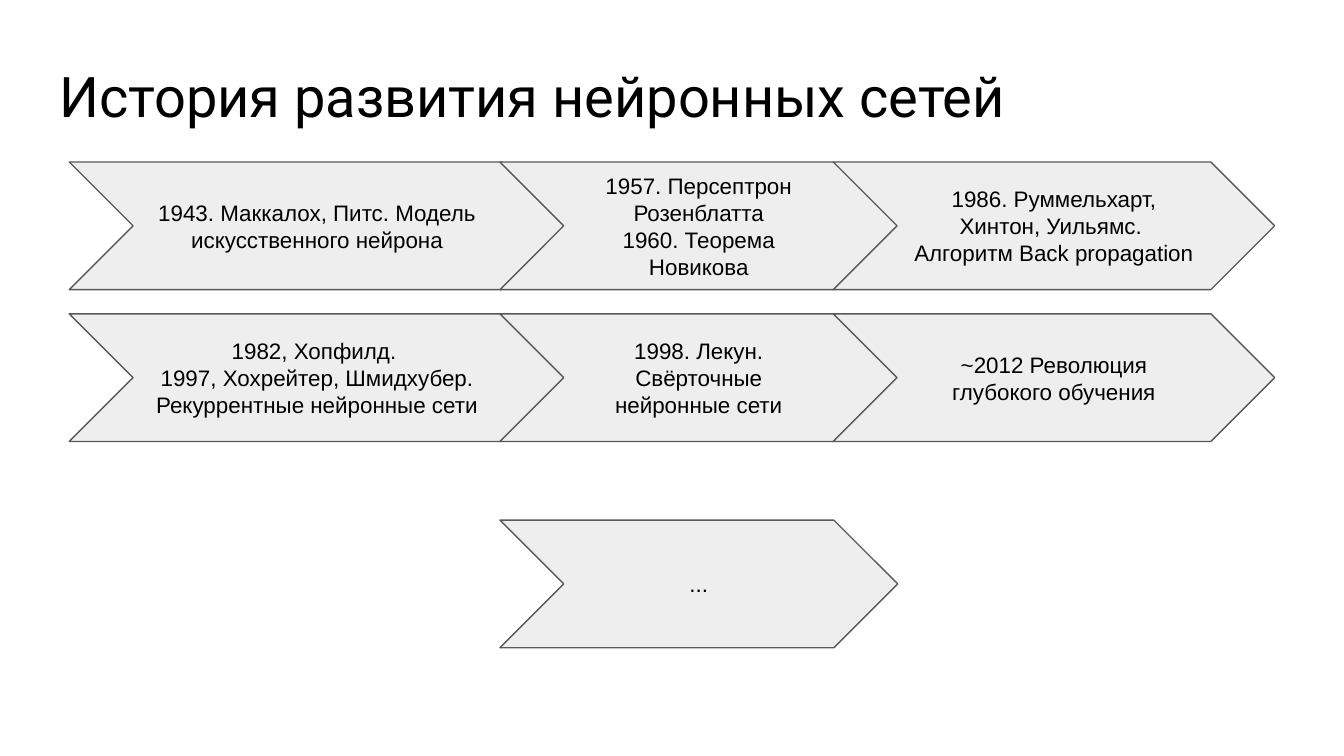
import pptx
import pptx.dml.color
import pptx.enum.shapes
import pptx.enum.text
import pptx.util

PX = 4572
TOP = pptx.enum.text.MSO_ANCHOR.TOP
MIDDLE = pptx.enum.text.MSO_ANCHOR.MIDDLE
LEFT = pptx.enum.text.PP_ALIGN.LEFT
CENTER = pptx.enum.text.PP_ALIGN.CENTER


def px(n):
    return pptx.util.Emu(n * PX)


def color(value):
    return pptx.dml.color.RGBColor.from_string(value)


def write(tf, text, size=12, font="Arial", fill="000000", align=CENTER, anchor=MIDDLE):
    tf.word_wrap = True
    tf.auto_size = pptx.enum.text.MSO_AUTO_SIZE.NONE
    tf.vertical_anchor = anchor
    tf.margin_left = tf.margin_right = tf.margin_top = tf.margin_bottom = px(20)
    for i, line in enumerate(text.split("\n")):
        p = tf.paragraphs[0] if i == 0 else tf.add_paragraph()
        p.alignment = align
        p.line_spacing = 1.0
        p.space_before = pptx.util.Pt(0)
        r = p.add_run()
        r.text = line
        r.font.size = pptx.util.Pt(size)
        r.font.name = font
        r.font.color.rgb = color(fill)


class Deck:
    """Hold the style and the current slide, and add elements to it."""

    fill = "EEEEEE"
    line = "595959"

    def __init__(self, prs):
        self.s = prs.slides.add_slide(prs.slide_layouts[5])

    def title(self, text, x, y, w, h):
        sp = self.s.shapes.title
        sp.left, sp.top, sp.width, sp.height = map(px, (x, y, w, h))
        write(sp.text_frame, text, size=30, font="Roboto", align=LEFT, anchor=TOP)

    def chevron(self, text, x, y, w, h=190):
        kind = pptx.enum.shapes.MSO_SHAPE.CHEVRON
        sp = self.s.shapes.add_shape(kind, *map(px, (x, y, w, h)))
        sp.adjustments[0] = 0.5
        sp.shadow.inherit = False
        sp.fill.solid()
        sp.fill.fore_color.rgb = color(self.fill)
        sp.line.color.rgb = color(self.line)
        sp.line.width = pptx.util.Pt(0.75)
        write(sp.text_frame, text)


def main():
    prs = pptx.Presentation()
    prs.slide_width, prs.slide_height = px(2000), px(1125)
    deck = Deck(prs)
    deck.title("История развития нейронных сетей", 68, 72, 1864, 126)

    columns = [(103, 738), (744, 592), (1240, 657)]
    rows = [
        (241, [
            "1943. Маккалох, Питс. Модель искусственного нейрона",
            "1957. Персептрон Розенблатта\n1960. Теорема Новикова",
            "1986. Руммельхарт, Хинтон, Уильямс. \nАлгоритм Back propagation",
        ]),
        (467, [
            "1982, Хопфилд. \n1997, Хохрейтер, Шмидхубер.\nРекуррентные нейронные сети",
            "1998. Лекун. Свёрточные нейронные сети",
            "~2012 Революция глубокого обучения",
        ]),
        (774, [None, "...", None]),
    ]
    for y, texts in rows:
        for (x, w), text in zip(columns, texts):
            if text:
                deck.chevron(text, x, y, w)

    prs.save("out.pptx")


if __name__ == "__main__":
    main()
